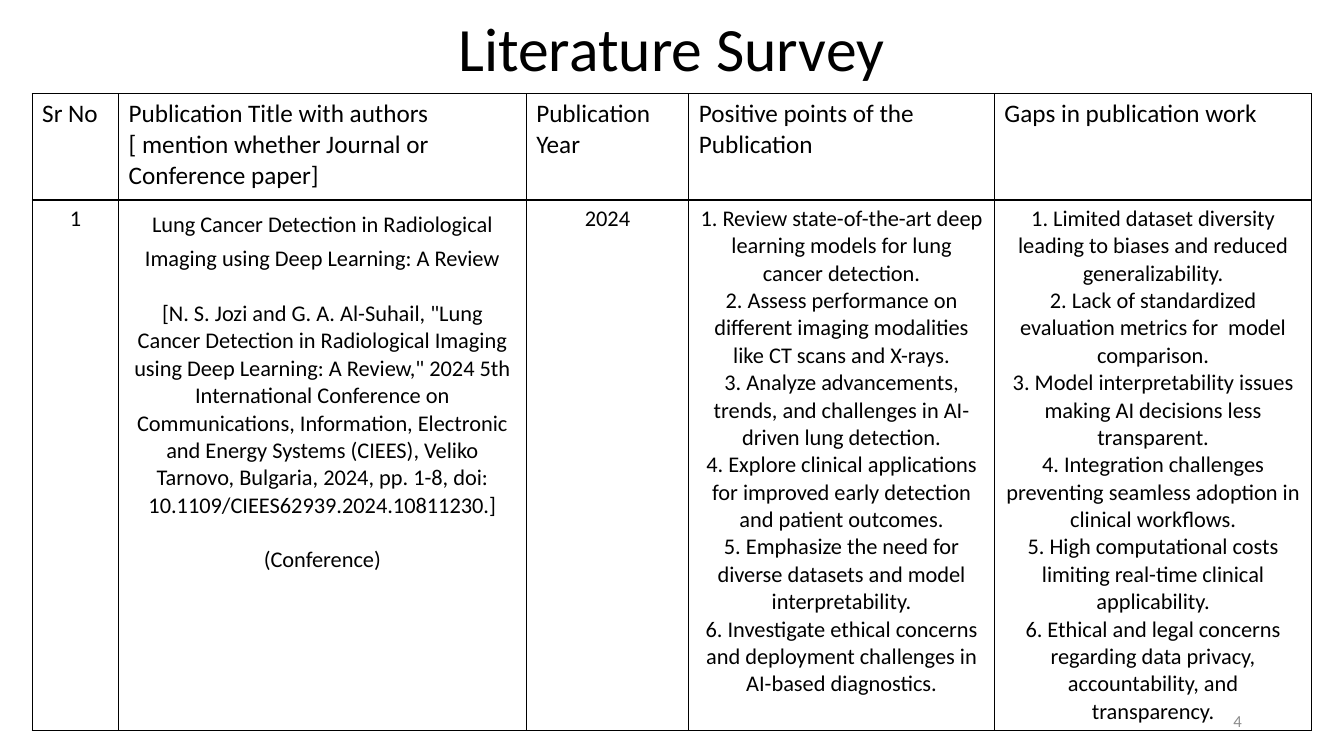
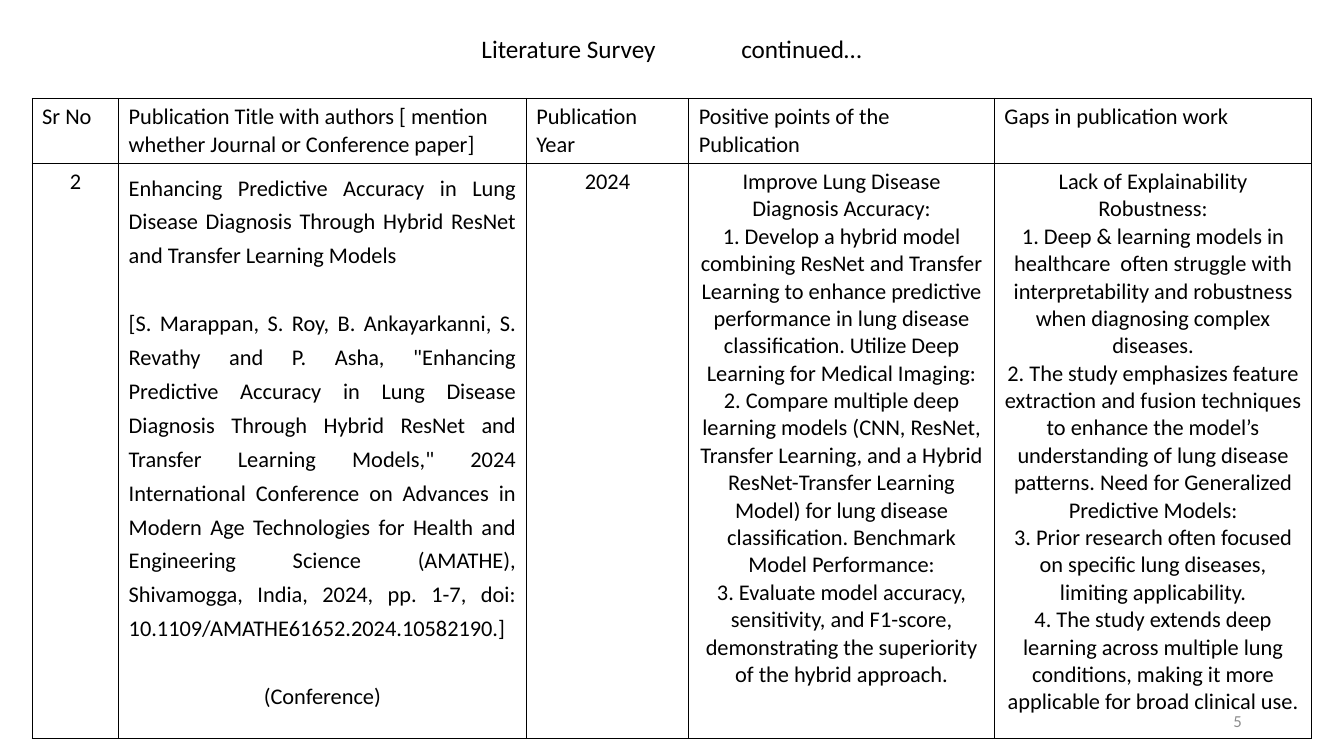
import pptx
import pptx.util
import pptx.dml.color
import pptx.enum.text
import pptx.oxml
import pptx.oxml.ns

Cm, Pt = pptx.util.Cm, pptx.util.Pt
ALIGN = pptx.enum.text.PP_ALIGN
ANCHOR = pptx.enum.text.MSO_ANCHOR

HUES = {"ink": "000000", "page": "FFFFFF", "faint": "8C8C8C"}
FONT = "Calibri"
BODY = 16
COLS = [2.18, 10.27, 4.1, 7.7, 8]
HEADS = [
    "Sr No",
    "Publication Title with authors [ mention whether Journal or Conference paper]",
    "Publication Year",
    "Positive points of the Publication",
    "Gaps in publication work",
]


def hue(name):
    return pptx.dml.color.RGBColor.from_string(HUES[name])


class Deck:
    def __init__(self):
        self.prs = pptx.Presentation()
        self.prs.slide_width = Cm(33.87)
        self.prs.slide_height = Cm(19.05)
        self.slide = None

    def page(self):
        self.slide = self.prs.slides.add_slide(self.prs.slide_layouts[6])
        fill = self.slide.background.fill
        fill.solid()
        fill.fore_color.rgb = hue("page")

    def run(self, para, text, size, color="ink"):
        run = para.add_run()
        run.text = text
        run.font.name = FONT
        run.font.size = Pt(size)
        run.font.color.rgb = hue(color)
        return run

    def box(self, left, top, width, height, align):
        """Add an empty text box and return its frame."""
        frame = self.slide.shapes.add_textbox(
            Cm(left), Cm(top), Cm(width), Cm(height)).text_frame
        frame.word_wrap = True
        frame.paragraphs[0].alignment = align
        return frame

    def title(self, top, height, size, parts, gap=0):
        """Centre the parts on one line, apart by one space widened by gap points."""
        frame = self.box(5.66, top, 22.53, height, ALIGN.CENTER)
        frame.margin_top = frame.margin_bottom = Cm(0.25)
        para = frame.paragraphs[0]
        para.line_spacing = 0.9
        for i, part in enumerate(parts):
            if i:
                space = self.run(para, " ", size)
                space.font._element.set("spc", str(gap * 100))
            self.run(para, part, size)

    def number(self, num):
        frame = self.box(23.93, 17.65, 7.62, 1.02, ALIGN.RIGHT)
        frame.vertical_anchor = ANCHOR.MIDDLE
        self.run(frame.paragraphs[0], str(num), 12, "faint")

    def border(self, cell):
        props = cell._tc.get_or_add_tcPr()
        for i, side in enumerate(("lnL", "lnR", "lnT", "lnB")):
            props.insert(i, pptx.oxml.parse_xml(
                f'<a:{side} {pptx.oxml.ns.nsdecls("a")} w="12700"><a:solidFill>'
                f'<a:srgbClr val="{HUES["ink"]}"/></a:solidFill></a:{side}>'))

    def cell(self, cell, items, size, align):
        """Fill a cell; an item is a text or a dict that also sets its layout."""
        cell.fill.background()
        self.border(cell)
        frame = cell.text_frame
        for i, item in enumerate(items):
            if isinstance(item, str):
                item = {"text": item}
            para = frame.add_paragraph() if i else frame.paragraphs[0]
            para.alignment = item.get("align", align)
            if "lines" in item:
                para.line_spacing = item["lines"]
            if "gap" in item:
                para.space_before = Pt(item["gap"])
            self.run(para, item["text"], size)

    def table(self, top, rows, size, entry):
        """Draw the heading row, at its own text size, and one survey entry."""
        table = self.slide.shapes.add_table(
            2, len(COLS), Cm(0.81), Cm(top), Cm(sum(COLS)), Cm(sum(rows))).table
        table.first_row = table.horz_banding = False
        for col, width in zip(table.columns, COLS):
            col.width = Cm(width)
        for row, height in zip(table.rows, rows):
            row.height = Cm(height)
        for i, (head, items) in enumerate(zip(HEADS, entry)):
            self.cell(table.cell(0, i), [head], size, ALIGN.LEFT)
            self.cell(table.cell(1, i), items, BODY, ALIGN.CENTER)


LOOSE = 1.24
JUST = ALIGN.JUSTIFY

FIRST = [
    ["1"],
    [
        {"text": "Lung Cancer Detection in Radiological Imaging using Deep Learning: A Review",
         "lines": LOOSE},
        {"text": "[N. S. Jozi and G. A. Al-Suhail, \"Lung Cancer Detection in Radiological "
                 "Imaging using Deep Learning: A Review,\" 2024 5th International Conference "
                 "on Communications, Information, Electronic and Energy Systems (CIEES), "
                 "Veliko Tarnovo, Bulgaria, 2024, pp. 1-8, doi: "
                 "10.1109/CIEES62939.2024.10811230.]", "gap": 19.5},
        {"text": "(Conference)", "gap": 19.5},
    ],
    ["2024"],
    [
        "1. Review state-of-the-art deep learning models for lung cancer detection.",
        "2. Assess performance on different imaging modalities like CT scans and X-rays.",
        "3. Analyze advancements, trends, and challenges in AI-driven lung detection.",
        "4. Explore clinical applications for improved early detection and patient outcomes.",
        "5. Emphasize the need for diverse datasets and model interpretability.",
        "6. Investigate ethical concerns and deployment challenges in AI-based diagnostics.",
    ],
    [
        "1. Limited dataset diversity leading to biases and reduced generalizability.",
        "2. Lack of standardized evaluation metrics for  model comparison.",
        "3. Model interpretability issues making AI decisions less transparent.",
        "4. Integration challenges preventing seamless adoption in clinical workflows.",
        "5. High computational costs limiting real-time clinical applicability.",
        "6. Ethical and legal concerns regarding data privacy, accountability, and "
        "transparency.",
    ],
]

SECOND = [
    ["2"],
    [
        {"text": "Enhancing Predictive Accuracy in Lung Disease Diagnosis Through Hybrid "
                 "ResNet and Transfer Learning Models", "lines": LOOSE, "align": JUST},
        {"text": "[S. Marappan, S. Roy, B. Ankayarkanni, S. Revathy and P. Asha, \"Enhancing "
                 "Predictive Accuracy in Lung Disease Diagnosis Through Hybrid ResNet and "
                 "Transfer Learning Models,\" 2024 International Conference on Advances in "
                 "Modern Age Technologies for Health and Engineering Science (AMATHE), "
                 "Shivamogga, India, 2024, pp. 1-7, doi: 10.1109/AMATHE61652.2024.10582190.]",
         "lines": LOOSE, "align": JUST, "gap": 24},
        {"text": "(Conference)", "lines": LOOSE, "gap": 24},
    ],
    ["2024"],
    [
        "Improve Lung Disease Diagnosis Accuracy:",
        "1. Develop a hybrid model combining ResNet and Transfer Learning to enhance "
        "predictive performance in lung disease classification. Utilize Deep Learning for "
        "Medical Imaging:",
        "2. Compare multiple deep learning models (CNN, ResNet, Transfer Learning, and a "
        "Hybrid ResNet-Transfer Learning Model) for lung disease classification. Benchmark "
        "Model Performance:",
        "3. Evaluate model accuracy, sensitivity, and F1-score, demonstrating the "
        "superiority of the hybrid approach.",
    ],
    [
        "Lack of Explainability Robustness:",
        "1. Deep & learning models in healthcare  often struggle with interpretability and "
        "robustness when diagnosing complex diseases.",
        "2. The study emphasizes feature extraction and fusion techniques to enhance the "
        "model’s understanding of lung disease patterns. Need for Generalized Predictive "
        "Models:",
        "3. Prior research often focused on specific lung diseases, limiting applicability.",
        "4. The study extends deep learning across multiple lung conditions, making it more "
        "applicable for broad clinical use.",
    ],
]


def main():
    deck = Deck()

    deck.page()
    deck.table(2.36, [2.68, 13.36], 18, FIRST)
    deck.title(0.2, 2.21, 44, ["Literature Survey"])
    deck.number(4)

    deck.page()
    deck.table(2.48, [1.63, 14.5], BODY, SECOND)
    deck.title(0.67, 1.19, 18, ["Literature Survey", "continued…"], 57)
    deck.number(5)

    deck.prs.save("out.pptx")


if __name__ == "__main__":
    main()
